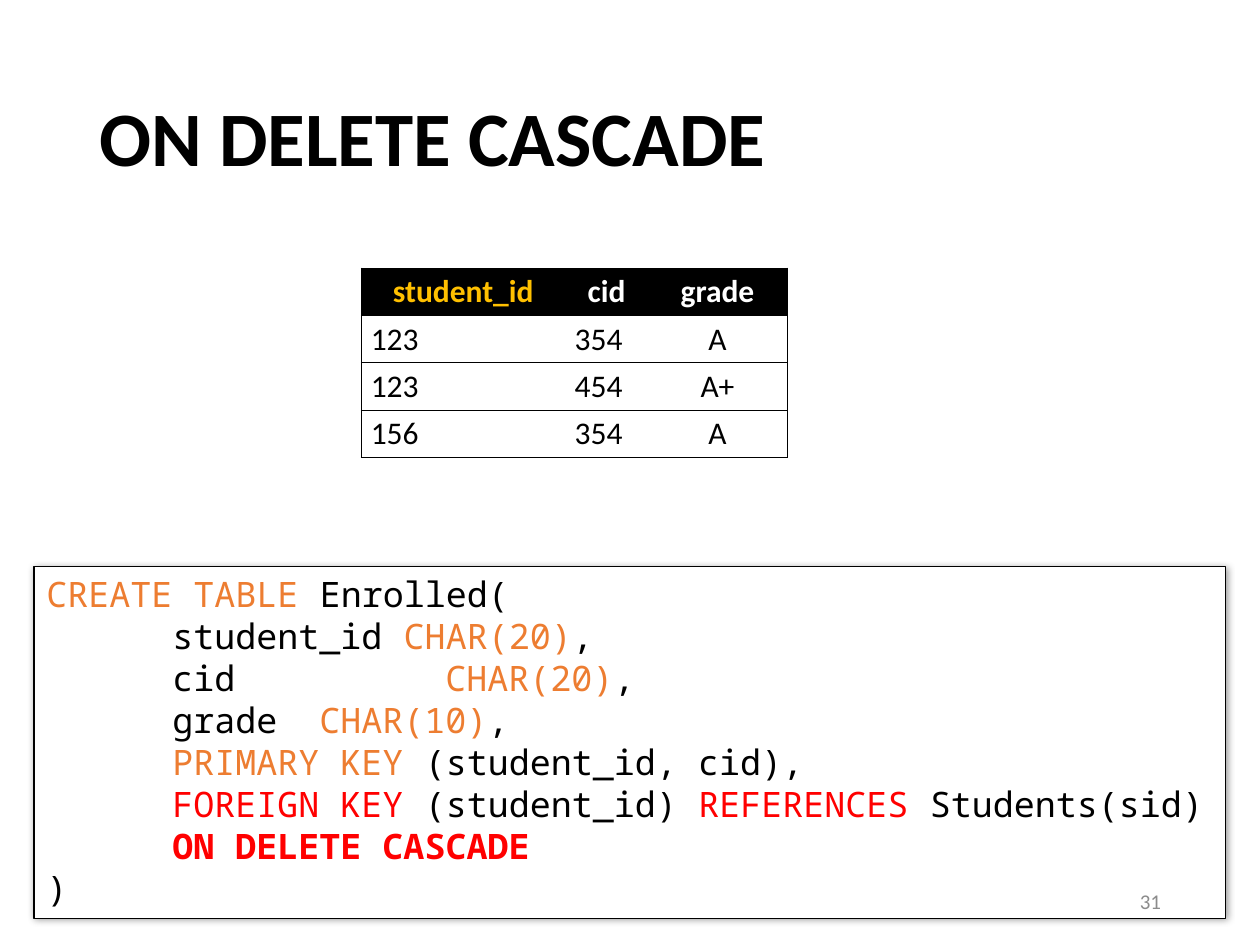
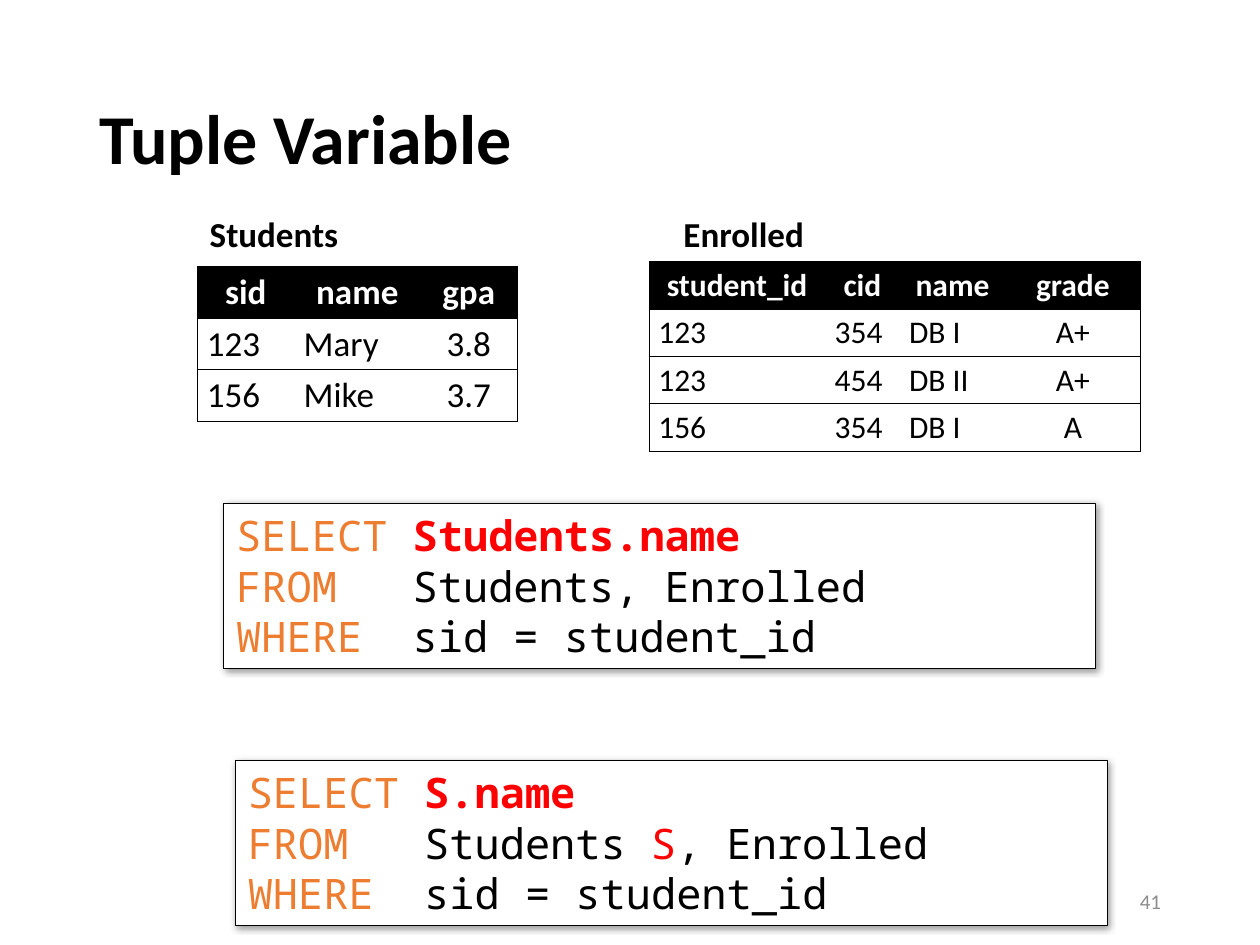
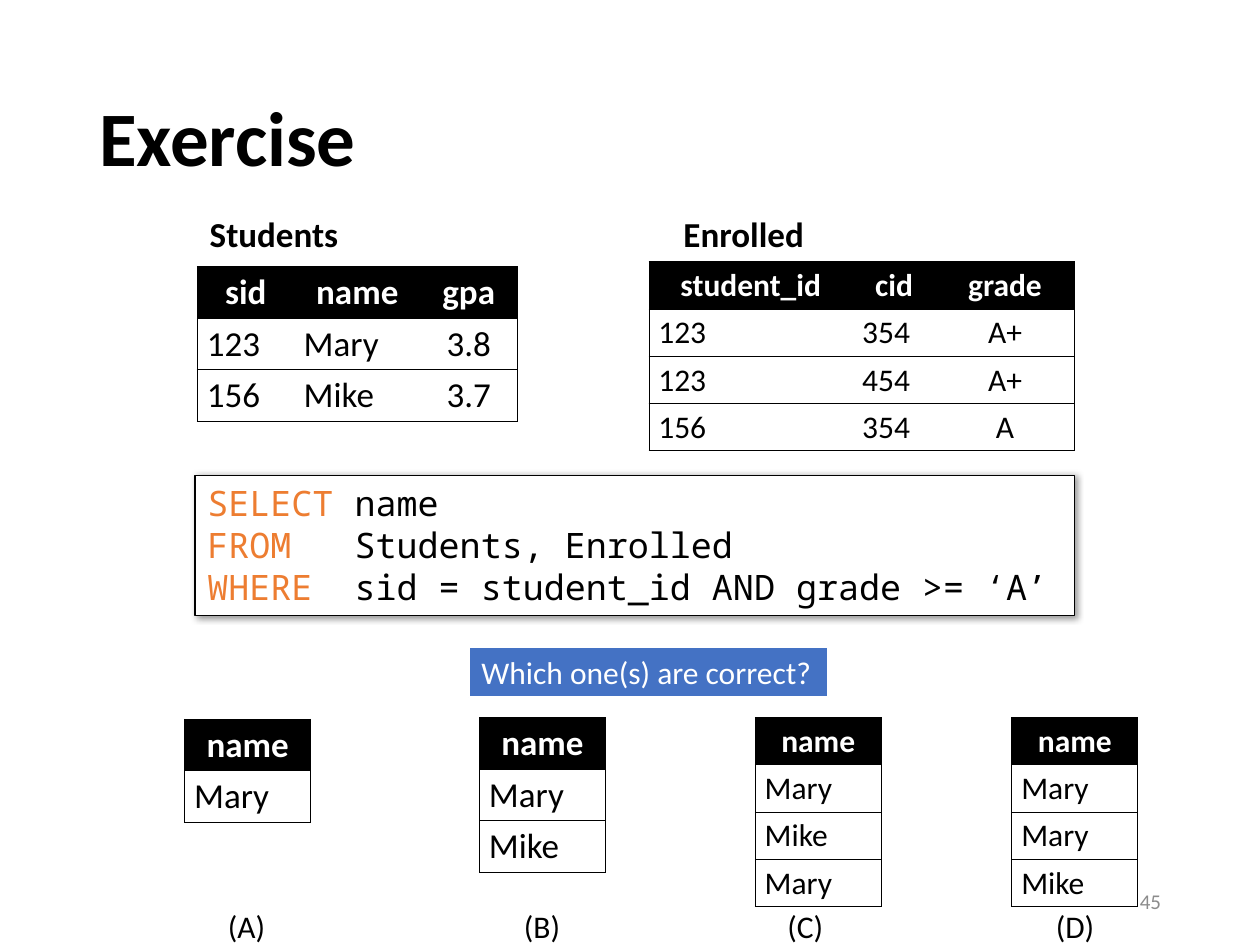
from itertools import accumulate
from typing import NamedTuple

from lxml.etree import SubElement as add_element
from pptx import Presentation
from pptx.dml.color import RGBColor
from pptx.enum.shapes import MSO_SHAPE as Preset
from pptx.enum.text import MSO_ANCHOR as Anchor, PP_ALIGN as Align
from pptx.oxml.ns import qn
from pptx.util import Pt

COLORS = {
    "plain": "000000",
    "white": "FFFFFF",
    "keyword": "ED7D31",
    "alert": "FF0000",
    "strong": "FF0000",
    "key": "FFC000",
    "question": "4472C4",
    "number": "8C8C8C",
}
BODY_FONT = "Calibri"
CODE_FONT = "Noto Sans Mono"
CODE_TAB = 72
PLAIN_TABLE_STYLE = "{2D5ABB26-0587-4C30-8999-92F81FD0307C}"
CELL_INSET_X, CELL_INSET_Y = 5.4, 2.7

STUDENT_COLUMNS = [55.4, 72, 55.4]
ENROLLED_COLUMNS = [116.5, 47.3, 79.5]
NAMED_ENROLLED_COLUMNS = [100.8, 42.5, 60.5, 77]

CREATE_ENROLLED = [
    [("CREATE TABLE ", "keyword"), ("Enrolled(", "plain")],
    [("\tstudent_id", "plain"), (" CHAR(20)", "keyword"), (",", "plain")],
    [("\tcid", "plain"), ("\t\t CHAR(20)", "keyword"), (",", "plain")],
    [("\tgrade", "plain"), ("\t CHAR(10)", "keyword"), (",", "plain")],
    [("\tPRIMARY KEY ", "keyword"), ("(student_id, cid),", "plain")],
    [("\tFOREIGN KEY ", "alert"), ("(student_id) ", "plain"),
     ("REFERENCES ", "alert"), ("Students(sid)", "plain")],
    [("\tON DELETE CASCADE", "strong")],
    [(")", "plain")],
]


class Box(NamedTuple):
    """Position and size in points."""

    left: float
    top: float
    width: float
    height: float

    def lengths(self):
        """Return the four values as lengths."""
        return [Pt(value) for value in self]


def rgb(name):
    """Look up a named colour."""
    return RGBColor.from_string(COLORS[name])


def add_span(para, text, size, color="plain", bold=False, font=BODY_FONT):
    """Append one formatted run to a paragraph."""
    span = para.add_run()
    span.text = text
    span.font.name = font
    span.font.size = Pt(size)
    span.font.bold = bold
    span.font.color.rgb = rgb(color)


def add_text(page, box, text, size, color="plain", bold=False, wrap=False,
             anchor=Anchor.TOP, align=Align.LEFT):
    """Place a one-paragraph text box and return the paragraph."""
    frame = page.shapes.add_textbox(*box.lengths()).text_frame
    frame.word_wrap = wrap
    frame.vertical_anchor = anchor
    para = frame.paragraphs[0]
    para.alignment = align
    add_span(para, text, size, color, bold)
    return para


def add_panel(page, box, fill, line, line_width):
    """Place a flat rectangle with text starting at its top left."""
    panel = page.shapes.add_shape(Preset.RECTANGLE, *box.lengths())
    panel.shadow.inherit = False
    panel.fill.solid()
    panel.fill.fore_color.rgb = rgb(fill)
    panel.line.color.rgb = rgb(line)
    panel.line.width = Pt(line_width)
    panel.text_frame.vertical_anchor = Anchor.TOP
    panel.text_frame.paragraphs[0].alignment = Align.LEFT
    return panel


def add_shadow(panel):
    """Give a panel a soft shadow to the lower right."""
    effects = panel._element.spPr.find(qn("a:effectLst"))
    shadow = add_element(effects, qn("a:outerShdw"), blurRad=str(Pt(4)),
                         dist=str(Pt(1)), dir="2700000", algn="tl", rotWithShape="0")
    color = add_element(shadow, qn("a:srgbClr"), val=COLORS["plain"])
    add_element(color, qn("a:alpha"), val="40000")


def add_code(page, box, lines, size):
    """Place a shadowed code panel with coloured spans."""
    panel = add_panel(page, box, "white", "plain", 0.75)
    add_shadow(panel)
    frame = panel.text_frame
    frame.word_wrap = True
    for index, line in enumerate(lines):
        para = frame.add_paragraph() if index else frame.paragraphs[0]
        para.alignment = Align.LEFT
        para._p.get_or_add_pPr().set("defTabSz", str(Pt(CODE_TAB)))
        for text, style in line:
            add_span(para, text, size, style, style == "strong", CODE_FONT)


def query(select, source, where="sid = student_id"):
    """Return the lines of a SELECT statement from the spans of its clauses."""
    return [
        [("SELECT ", "keyword"), select],
        [("FROM   ", "keyword"), *source],
        [("WHERE  ", "keyword"), (where, "plain")],
    ]


def set_borders(cell, sides):
    """Draw thin lines on the given sides of a cell and clear the others."""
    properties = cell._tc.get_or_add_tcPr()
    for side in "LRTB":
        line = add_element(properties, qn(f"a:ln{side}"), w=str(Pt(0.5)))
        if side in sides:
            fill = add_element(line, qn("a:solidFill"))
            add_element(fill, qn("a:srgbClr"), val=COLORS["plain"])
        else:
            add_element(line, qn("a:noFill"))


def row_height(size):
    """Return the height of a table row for a text size."""
    return round(1.2 * size + 2 * CELL_INSET_Y, 2)


def add_grid(page, left, top, columns, rows, size, header=True, key=None):
    """Place a table with ruled rows, and a black header row if wanted."""
    last = len(columns) - 1
    height = row_height(size)
    box = Box(left, top, sum(columns), height * len(rows))
    frame = page.shapes.add_table(len(rows), len(columns), *box.lengths())
    grid = frame.table
    grid.first_row = header
    grid.horz_banding = False
    grid._tbl.tblPr.find(qn("a:tableStyleId")).text = PLAIN_TABLE_STYLE
    for column, width in zip(grid.columns, columns):
        column.width = Pt(width)
    for row_index, row in enumerate(rows):
        grid.rows[row_index].height = Pt(height)
        heading = header and row_index == 0
        for index, text in enumerate(row):
            cell = grid.cell(row_index, index)
            cell.margin_left = cell.margin_right = Pt(CELL_INSET_X)
            cell.margin_top = cell.margin_bottom = Pt(CELL_INSET_Y)
            set_borders(cell, "TB" + "L" * (index == 0) + "R" * (index == last))
            cell.fill.background()
            color = "plain"
            if heading:
                cell.fill.solid()
                cell.fill.fore_color.rgb = rgb("plain")
                color = "key" if text == key else "white"
            para = cell.text_frame.paragraphs[0]
            centred = heading or index == last > 0
            para.alignment = Align.CENTER if centred else Align.LEFT
            add_span(para, text, size, color, heading)


def add_split_grid(page, left, top, columns, rows, size):
    """Place a table whose last row is a table of its own."""
    parts = [rows[:-1], rows[-1:]]
    offsets = accumulate([0, len(parts[0]) * row_height(size)])
    for part, offset in zip(parts, offsets):
        add_grid(page, left, top + offset, columns, part, size, header=offset == 0)


def add_students(page):
    """Place the Students relation with its caption."""
    add_text(page, Box(112.8, 118.1, 88.6, 31.7), "Students", 20, bold=True)
    rows = [["sid", "name", "gpa"], ["123", "Mary", "3.8"], ["156", "Mike", "3.7"]]
    add_split_grid(page, 112.8, 152.5, STUDENT_COLUMNS, rows, 20)


def add_enrolled(page, place_grid, columns, rows):
    """Place the Enrolled relation with its caption."""
    add_text(page, Box(383.5, 118.1, 84.2, 31.7), "Enrolled", 20, bold=True)
    place_grid(page, 370.8, 149.6, columns, rows, 18)


def add_answer(page, left, top, names, size, label, label_left):
    """Place one candidate result with its letter below."""
    add_grid(page, left, top, [72], [["name"], *([name] for name in names)], size)
    add_text(page, Box(label_left, 514.5, 37, 28.8), label, 18)


def add_page(deck, title, size=44):
    """Add a blank page with its title."""
    page = deck.slides.add_slide(deck.slide_layouts[6])
    para = add_text(page, Box(49.5, 28.8, 620.6, 104.4), title, size, bold=True,
                    wrap=True, anchor=Anchor.MIDDLE)
    para.line_spacing = 0.9
    return page


def add_number(page, number):
    """Place the page number at the lower right."""
    add_text(page, Box(508.5, 500.4, 162, 28.8), number, 12, "number", wrap=True,
             anchor=Anchor.MIDDLE, align=Align.RIGHT)


def build_cascade(deck):
    """Build the page on cascading deletes."""
    page = add_page(deck, "ON DELETE CASCADE")
    add_code(page, Box(19.4, 323.8, 681.1, 200.9), CREATE_ENROLLED, 20)
    rows = [["student_id", "cid", "grade"],
            ["123", "354", "A"], ["123", "454", "A+"], ["156", "354", "A"]]
    add_grid(page, 206.5, 153.2, ENROLLED_COLUMNS, rows, 18, key="student_id")
    add_number(page, "31")


def build_tuple_variable(deck):
    """Build the page on tuple variables."""
    page = add_page(deck, "Tuple Variable", 40)
    add_students(page)
    rows = [["student_id", "cid", "name", "grade"], ["123", "354", "DB I", "A+"],
            ["123", "454", "DB II", "A+"], ["156", "354", "DB I", "A"]]
    add_enrolled(page, add_grid, NAMED_ENROLLED_COLUMNS, rows)
    full_names = query(("Students.name", "strong"), [("Students, Enrolled", "plain")])
    short_names = query(("S.name", "strong"), [
        ("Students ", "plain"), ("S", "alert"), (", Enrolled", "plain")])
    add_code(page, Box(127.9, 287.7, 498.2, 94.3), full_names, 24)
    add_code(page, Box(134.5, 434.6, 498.2, 94.3), short_names, 24)
    add_number(page, "41")


def build_exercise(deck):
    """Build the exercise page with its four answers."""
    page = add_page(deck, "Exercise")
    lines = query(("name", "plain"), [("Students, Enrolled", "plain")],
                  "sid = student_id AND grade >= ‘A’")
    add_code(page, Box(111.4, 271.7, 502.6, 79.9), lines, 20)
    add_students(page)
    rows = [["student_id", "cid", "grade"],
            ["123", "354", "A+"], ["123", "454", "A+"], ["156", "354", "A"]]
    add_enrolled(page, add_split_grid, ENROLLED_COLUMNS, rows)
    question = add_panel(page, Box(268, 369.6, 205.2, 28.8), "question", "white", 1.5)
    question.text_frame.word_wrap = False
    add_span(question.text_frame.paragraphs[0], "Which one(s) are correct?", 18, "white")
    for answer in [
        (105.5, 411, ["Mary"], 20, "(A)", 123.1),
        (274, 410, ["Mary", "Mike"], 20, "(B)", 292.3),
        (431.6, 410, ["Mary", "Mike", "Mary"], 18, "(C)", 442.8),
        (578.2, 410, ["Mary", "Mary", "Mike"], 18, "(D)", 596.2),
    ]:
        add_answer(page, *answer)
    add_number(page, "45")


def main():
    """Build the deck and save it."""
    deck = Presentation()
    deck.slide_width, deck.slide_height = Pt(720), Pt(540)
    for build in (build_cascade, build_tuple_variable, build_exercise):
        build(deck)
    deck.save("out.pptx")


if __name__ == "__main__":
    main()
